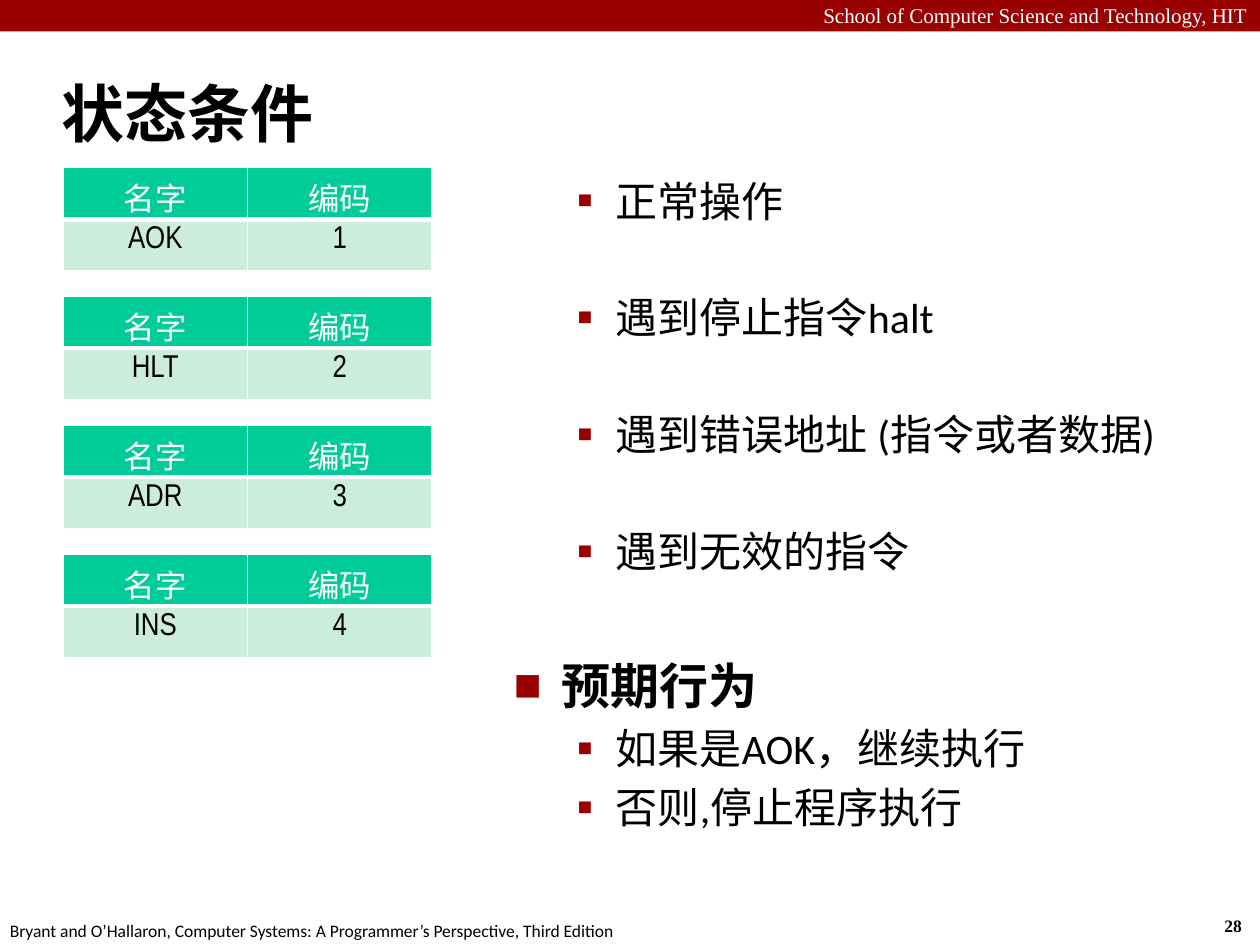
"""Build the slide on processor status conditions."""
import pptx
import pptx.dml.color
import pptx.enum.shapes
import pptx.enum.text
import pptx.oxml
import pptx.util
from pptx.util import Inches

RED = pptx.dml.color.RGBColor(0x99, 0x00, 0x00)
GREEN = pptx.dml.color.RGBColor(0x00, 0xCC, 0x99)
PALE = pptx.dml.color.RGBColor(0xCC, 0xEC, 0xDE)
WHITE = pptx.dml.color.RGBColor(0xFF, 0xFF, 0xFF)
BLACK = pptx.dml.color.RGBColor(0x00, 0x00, 0x00)
NAMESPACE = 'xmlns:a="http://schemas.openxmlformats.org/drawingml/2006/main"'
ALIGN = pptx.enum.text.PP_ALIGN
ANCHOR = pptx.enum.text.MSO_ANCHOR

CODES = ["AOK", "HLT", "ADR", "INS"]
FIRST_TOP, LAST_TOP = 1.33, 4.4
POINT = {"level": 1, "indent": (0.81, -0.31), "bullet": ("▪", 110), "size": 24, "bold": False}
HEADING = {"level": 0, "indent": (0.38, -0.38), "bullet": ("■", 60), "size": 28, "bold": True}
BODY = [
    ("正常操作", POINT, 0),
    ("遇到停止指令halt", POINT, 38),
    ("遇到错误地址 (指令或者数据)", POINT, 38),
    ("遇到无效的指令", POINT, 38),
    ("预期行为", HEADING, 45),
    ("如果是AOK，继续执行", POINT, 5),
    ("否则,停止程序执行", POINT, 5),
]


def set_font(para, size, name, color=BLACK, bold=False):
    """Format the runs of a paragraph."""
    values = {"size": pptx.util.Pt(size), "name": name, "bold": bold}
    for span in para.runs:
        for key, value in values.items():
            setattr(span.font, key, value)
        span.font.color.rgb = color


def add_bar(page):
    """Draw the red bar across the top."""
    bar = page.shapes.add_shape(pptx.enum.shapes.MSO_SHAPE.RECTANGLE, 0, 0, Inches(10), Inches(0.25))
    bar.shadow.inherit = False
    bar.fill.solid()
    bar.fill.fore_color.rgb = RED
    bar.line.fill.background()


def add_text(page, place, text, size, name, wrap=True, align=ALIGN.LEFT,
             anchor=ANCHOR.TOP, color=BLACK, bold=False):
    """Add a text box holding one paragraph."""
    frame = page.shapes.add_textbox(*map(Inches, place)).text_frame
    for key, value in {"word_wrap": wrap, "vertical_anchor": anchor}.items():
        setattr(frame, key, value)
    para = frame.paragraphs[0]
    para.text = text
    para.alignment = align
    set_font(para, size, name, color, bold)


def add_borders(cell, bottom):
    """Give a cell white borders with the stated bottom width in points."""
    properties = cell._tc.get_or_add_tcPr()
    for side, width in {"L": 1, "R": 1, "T": 1, "B": bottom}.items():
        properties.append(pptx.oxml.parse_xml(
            f'<a:ln{side} {NAMESPACE} w="{pptx.util.Pt(width)}"><a:solidFill>'
            f'<a:srgbClr val="{WHITE}"/></a:solidFill></a:ln{side}>'))


def add_code_table(page, top, name, code):
    """Add a table giving one status name and its code."""
    rows = [(("名字", "编码"), GREEN, WHITE, 3), ((name, code), PALE, BLACK, 1)]
    frame = page.shapes.add_table(2, 2, Inches(0.5), Inches(top), Inches(2.93), Inches(0.82))
    for row, (texts, fill, color, bottom) in enumerate(rows):
        for column, text in enumerate(texts):
            cell = frame.table.cell(row, column)
            add_borders(cell, bottom)
            cell.fill.solid()
            cell.fill.fore_color.rgb = fill
            cell.text = text
            para = cell.text_frame.paragraphs[0]
            para.alignment = ALIGN.CENTER
            set_font(para, 18, "Arial Narrow", color)


def add_bullet(para, indent, bullet):
    """Give a paragraph its indents and a red bullet."""
    properties = para._p.get_or_add_pPr()
    for key, value in zip(("marL", "indent"), indent):
        properties.set(key, str(Inches(value)))
    mark, percent = bullet
    for element in (f'<a:buClr {NAMESPACE}><a:srgbClr val="{RED}"/></a:buClr>',
                    f'<a:buSzPct {NAMESPACE} val="{percent * 1000}"/>',
                    f'<a:buFont {NAMESPACE} typeface="Calibri"/>',
                    f'<a:buChar {NAMESPACE} char="{mark}"/>'):
        properties.append(pptx.oxml.parse_xml(element))


def add_body(page):
    """Add the bulleted explanations."""
    frame = page.shapes.add_textbox(*map(Inches, (3.98, 1.34, 5.43, 5.71))).text_frame
    frame.word_wrap = True
    for index, (text, style, before) in enumerate(BODY):
        para = frame.add_paragraph() if index else frame.paragraphs[0]
        para.text = text
        add_bullet(para, style["indent"], style["bullet"])
        for key, value in {"level": style["level"], "space_before": pptx.util.Pt(before)}.items():
            setattr(para, key, value)
        set_font(para, style["size"], "Calibri", bold=style["bold"])


def main():
    """Build and save the deck."""
    deck = pptx.Presentation()
    deck.slide_width, deck.slide_height = Inches(10), Inches(7.5)
    page = deck.slides.add_slide(deck.slide_layouts[6])
    add_bar(page)
    add_text(page, (0, -0.03, 10, 0.3), "School of Computer Science and Technology, HIT",
             12, "Times New Roman", align=ALIGN.RIGHT, color=WHITE)
    add_text(page, (9.62, 7.21, 0.37, 0.27), "28", 10, "Times New Roman", wrap=False, bold=True)
    add_text(page, (-0.02, 7.25, 5.08, 0.27),
             "Bryant and O’Hallaron, Computer Systems: A Programmer’s Perspective, Third Edition",
             10, "Calibri", wrap=False)
    add_text(page, (0.39, 0.48, 9.61, 0.83), "状态条件", 36, "Calibri",
             anchor=ANCHOR.MIDDLE, bold=True)
    step = (LAST_TOP - FIRST_TOP) / (len(CODES) - 1)
    for index, name in enumerate(CODES):
        add_code_table(page, FIRST_TOP + index * step, name, str(index + 1))
    add_body(page)
    deck.save("out.pptx")


if __name__ == "__main__":
    main()
